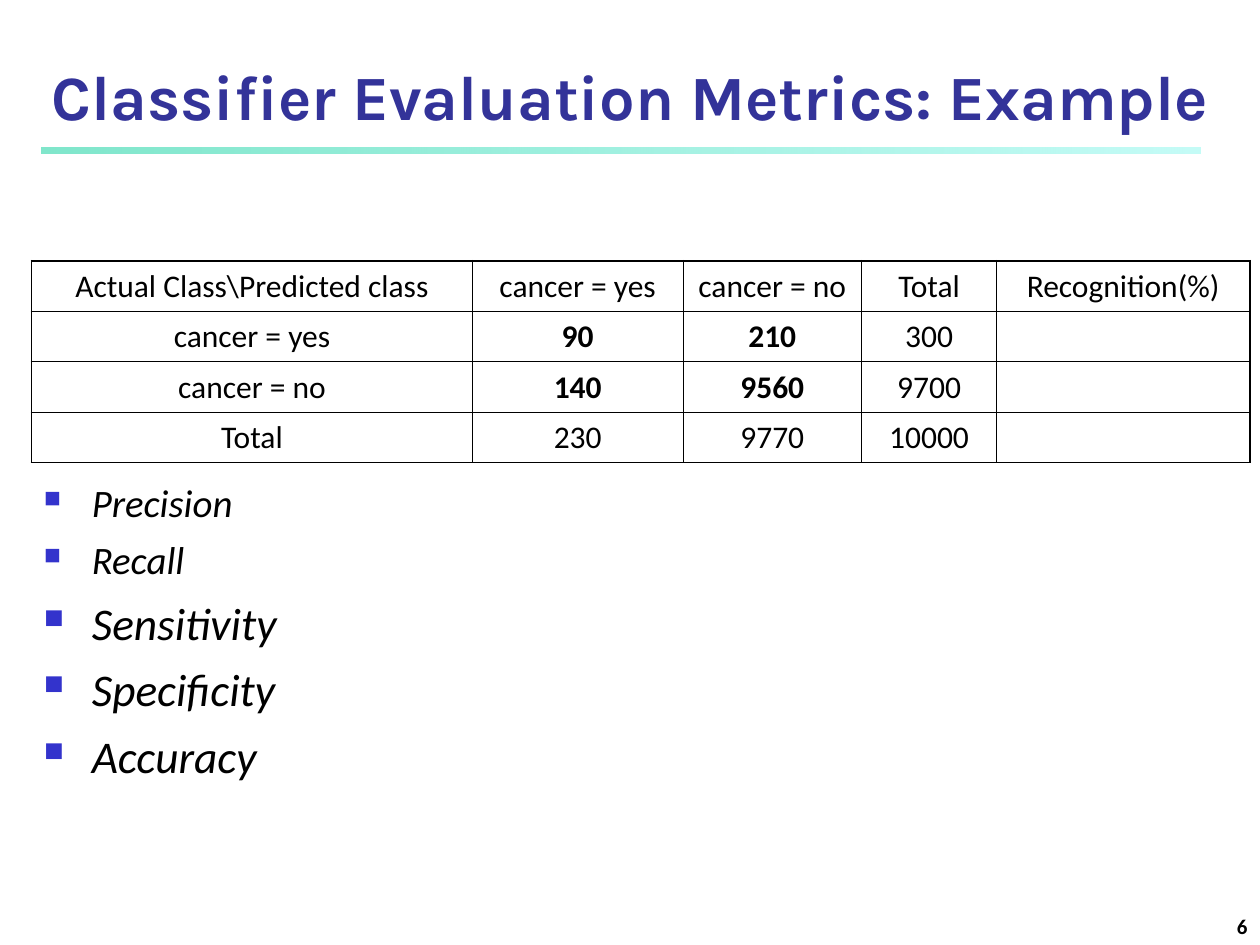
import pptx
import pptx.dml.color
import pptx.enum.dml
import pptx.enum.shapes
import pptx.enum.text
import pptx.oxml
import pptx.oxml.ns
import pptx.util
from dataclasses import dataclass

RGBColor = pptx.dml.color.RGBColor
ALIGN = pptx.enum.text.PP_ALIGN
ANCHOR = pptx.enum.text.MSO_ANCHOR

BLACK = RGBColor(0, 0, 0)
TITLE_BLUE = RGBColor(0x33, 0x33, 0x99)
BULLET_BLUE = RGBColor(0x33, 0x33, 0xCC)
RULE_START = RGBColor(0x00, 0xCE, 0x98)
RULE_END = RGBColor(0x8F, 0xF9, 0xEF)
SLIDE_W, SLIDE_H = 10, 7.5
HAIRLINE, OUTLINE = 0.45, 1.08
COLUMN_WIDTHS = (3.5, 1.67, 1.42, 1.07, 2.01)
ROW_HEIGHT = 0.4
ROWS = (
    ("Actual Class\\Predicted class", "cancer = yes", "cancer = no", "Total", "Recognition(%)"),
    ("cancer = yes", "90", "210", "300", ""),
    ("cancer = no", "140", "9560", "9700", ""),
    ("Total", "230", "9770", "10000", ""),
)


@dataclass(frozen=True)
class Box:
    x: float
    y: float
    w: float
    h: float

    def emu(self) -> tuple:
        shares = (self.x / SLIDE_W, self.y / SLIDE_H, self.w / SLIDE_W, self.h / SLIDE_H)
        sizes = (SLIDE_W, SLIDE_H) * 2
        return tuple(pptx.util.Inches(a * b) for a, b in zip(shares, sizes))


@dataclass(frozen=True)
class Metric:
    name: str
    size: float
    level: int
    before: float


METRICS = (
    Metric("Precision", 22.2, 1, 0),
    Metric("Recall", 22.2, 1, 6),
    Metric("Sensitivity", 25.9, 0, 7),
    Metric("Specificity", 25.9, 0, 7),
    Metric("Accuracy", 25.9, 0, 7),
)


def add_run(p, text: str, size: float, name: str = "Calibri", color: RGBColor = BLACK, **style) -> None:
    r = p.add_run()
    r.text = text
    for key, value in {"size": pptx.util.Pt(size), "name": name, **style}.items():
        setattr(r.font, key, value)
    r.font.color.rgb = color


def add_box(s, box: Box, anchor, inset: float = 0.05):
    tf = s.shapes.add_textbox(*box.emu()).text_frame
    values = {
        "word_wrap": True,
        "vertical_anchor": anchor,
        "margin_top": pptx.util.Inches(inset),
        "margin_bottom": pptx.util.Inches(inset),
    }
    for key, value in values.items():
        setattr(tf, key, value)
    return tf


def add_rule(s) -> None:
    sp = s.shapes.add_shape(pptx.enum.shapes.MSO_SHAPE.RECTANGLE, *Box(0.33, 1.17, 9.2, 0.05).emu())
    sp.shadow.inherit = False
    sp.line.fill.background()
    sp.fill.gradient()
    sp.fill.gradient_angle = 0
    for stop, color, position in zip(sp.fill.gradient_stops, (RULE_START, RULE_END), (0, 1)):
        stop.color.rgb = color
        stop.position = position
    for clr, alpha in zip(sp.fill._xPr.iter(pptx.oxml.ns.qn("a:srgbClr")), (50000, 52000)):
        clr.append(pptx.oxml.parse_xml(f'<a:alpha {pptx.oxml.ns.nsdecls("a")} val="{alpha}"/>'))


def add_bullet(p) -> None:
    ns = pptx.oxml.ns.nsdecls("a")
    pPr = p._p.get_or_add_pPr()
    indent = pptx.util.Inches(0.38)
    pPr.set("marL", str(indent))
    pPr.set("indent", str(-indent))
    for xml in (
        f'<a:buClr {ns}><a:srgbClr val="{BULLET_BLUE}"/></a:buClr>',
        f'<a:buSzPct {ns} val="60000"/>',
        f'<a:buChar {ns} char="■"/>',
    ):
        pPr.append(pptx.oxml.parse_xml(xml))


def add_metrics(s) -> None:
    tf = add_box(s, Box(0.25, 3.75, 9.25, 2.5), ANCHOR.TOP)
    for i, metric in enumerate(METRICS):
        p = tf.add_paragraph() if i else tf.paragraphs[0]
        add_bullet(p)
        p.level = metric.level
        p.space_before = pptx.util.Pt(metric.before)
        add_run(p, metric.name, metric.size, italic=True)


def set_borders(cell, outer: dict) -> None:
    tcPr = cell._tc.get_or_add_tcPr()
    for i, (side, is_outer) in enumerate(outer.items()):
        width = pptx.util.Pt(OUTLINE if is_outer else HAIRLINE)
        tcPr.insert(i, pptx.oxml.parse_xml(
            f'<a:ln{side} {pptx.oxml.ns.nsdecls("a")} w="{width}">'
            f'<a:solidFill><a:srgbClr val="{BLACK}"/></a:solidFill></a:ln{side}>'))


def add_confusion_matrix(s) -> None:
    n_rows, n_cols = len(ROWS), len(COLUMN_WIDTHS)
    box = Box(0.25, 2.07, sum(COLUMN_WIDTHS), n_rows * ROW_HEIGHT)
    table = s.shapes.add_table(n_rows, n_cols, *box.emu()).table
    table.first_row = table.horz_banding = False
    for column, width in zip(table.columns, COLUMN_WIDTHS):
        column.width = pptx.util.Inches(width)
    for i, row in enumerate(ROWS):
        table.rows[i].height = pptx.util.Inches(ROW_HEIGHT)
        for j, text in enumerate(row):
            cell = table.cell(i, j)
            cell.fill.background()
            set_borders(cell, {"L": j == 0, "R": j == n_cols - 1, "T": i == 0, "B": i == n_rows - 1})
            p = cell.text_frame.paragraphs[0]
            p.alignment = ALIGN.CENTER
            if text:
                add_run(p, text, 18, bold=i in (1, 2) and j in (1, 2))


def main() -> None:
    prs = pptx.Presentation()
    prs.slide_width, prs.slide_height = pptx.util.Inches(SLIDE_W), pptx.util.Inches(SLIDE_H)
    s = prs.slides.add_slide(prs.slide_layouts[6])
    add_rule(s)
    p = add_box(s, Box(0, 0.25, SLIDE_W, 0.83), ANCHOR.BOTTOM, 0.02).paragraphs[0]
    p.alignment = ALIGN.CENTER
    add_run(p, "Classifier Evaluation Metrics: Example", 36, "Karla", TITLE_BLUE, bold=True)
    p = add_box(s, Box(7.92, 7.08, 2.08, 0.42), ANCHOR.BOTTOM).paragraphs[0]
    p.alignment = ALIGN.RIGHT
    add_run(p, "6", 12, bold=True)
    add_metrics(s)
    add_confusion_matrix(s)
    prs.save("out.pptx")


if __name__ == "__main__":
    main()
